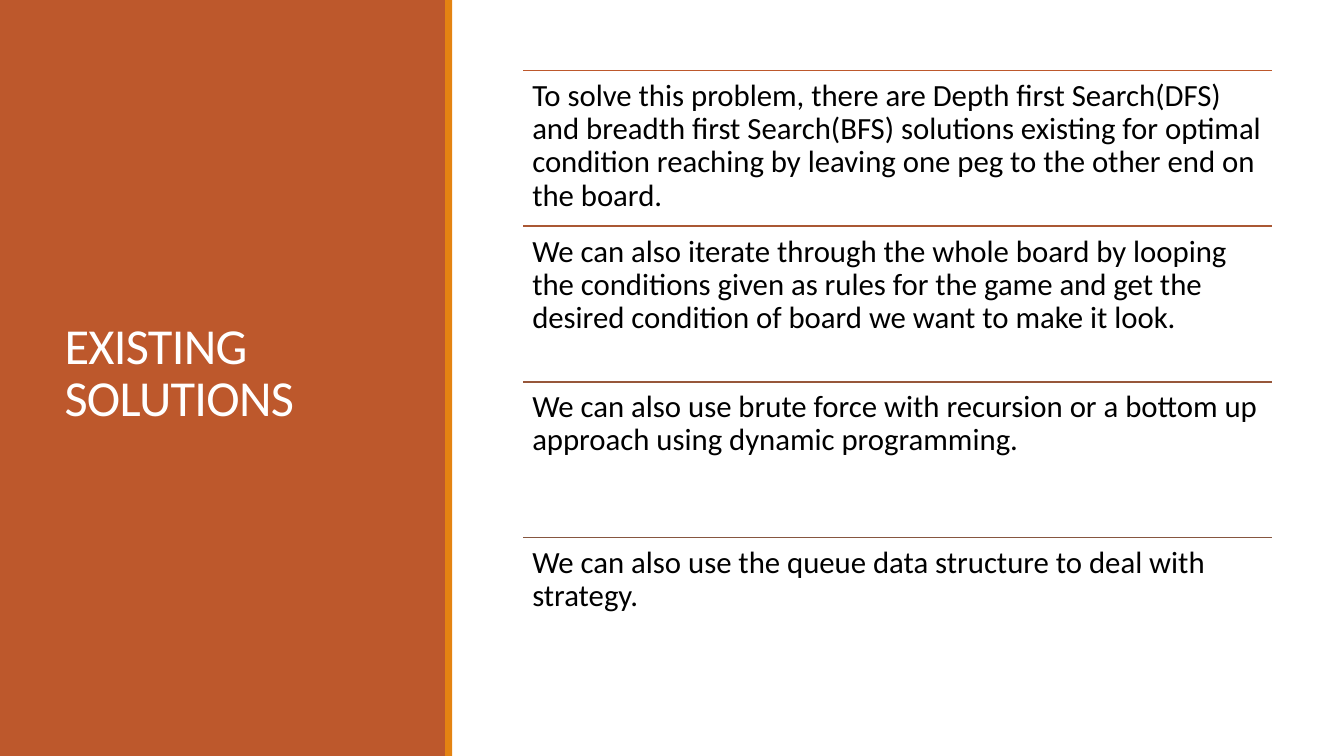
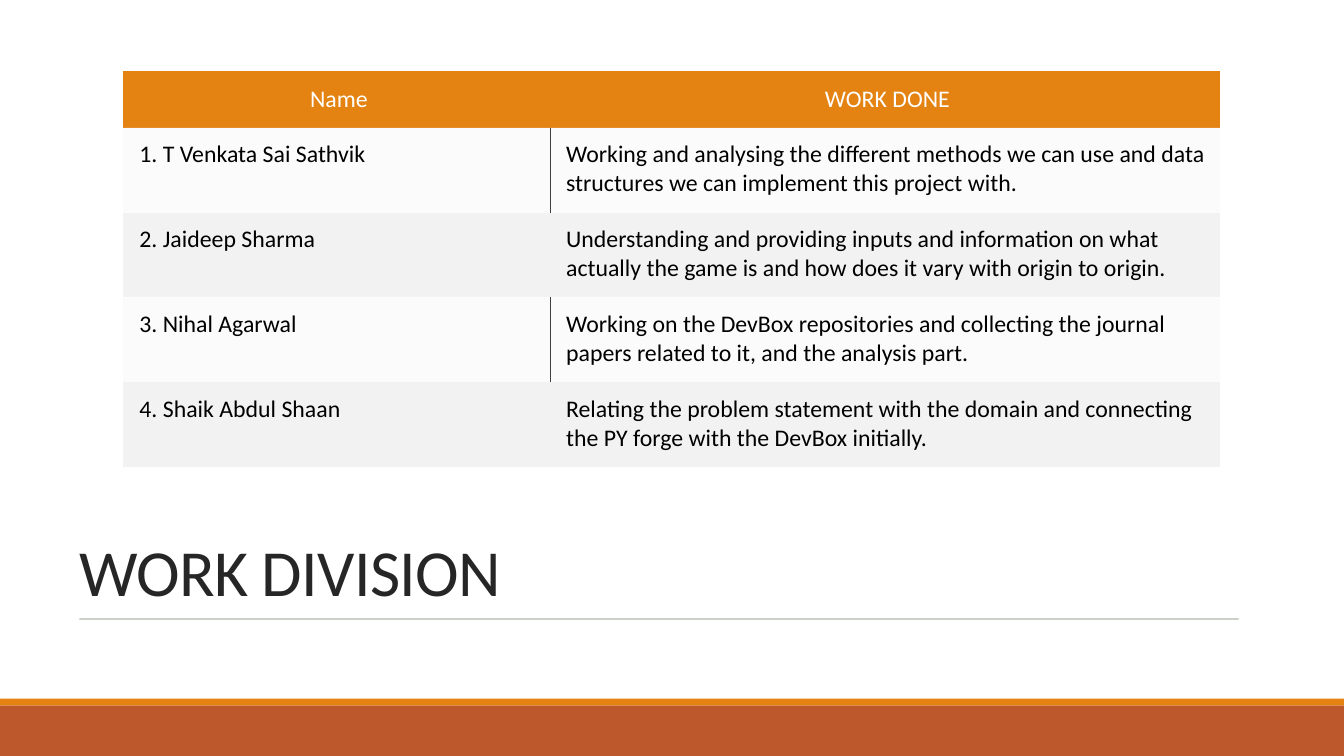
from dataclasses import dataclass

import lxml.etree
import pptx
import pptx.dml.color
import pptx.enum.shapes
import pptx.enum.text
import pptx.oxml.ns
import pptx.util

Pt = pptx.util.Pt
qn = pptx.oxml.ns.qn
Anchor = pptx.enum.text.MSO_ANCHOR
Align = pptx.enum.text.PP_ALIGN


@dataclass(frozen=True)
class Theme:
    font: str = "Calibri"
    rust: str = "BD582C"
    orange: str = "E48312"
    white: str = "FFFFFF"
    black: str = "000000"
    title_dark: str = "262626"
    title_rule: str = "637052"
    row_gray: str = "F2F2F2"
    cell_border: str = "404040"
    side_title_size: float = 36
    title_size: float = 47
    body_size: float = 22
    table_size: float = 17
    title_spacing: float = 0.85
    body_spacing: float = 0.9
    title_tracking: float = -0.5
    no_style_id: str = "{2D5ABB26-0587-4C30-8999-92F81FD0307C}"


THEME = Theme()
SLIDE_WIDTH, SLIDE_HEIGHT = 960, 540


@dataclass(frozen=True)
class Area:
    left: float
    top: float
    width: float
    height: float

    def points(self) -> tuple:
        return Pt(self.left), Pt(self.top), Pt(self.width), Pt(self.height)


@dataclass(frozen=True)
class TextStyle:
    size: float
    color: str
    spacing: float = 1.0
    tracking: float = 0
    anchor: Anchor = Anchor.TOP
    align: Align = Align.LEFT


@dataclass(frozen=True)
class Solution:
    text: str
    rule_color: str


@dataclass(frozen=True)
class Task:
    name: str
    work: str


SOLUTIONS = [
    Solution("To solve this problem, there are Depth first Search(DFS) and breadth first "
             "Search(BFS) solutions existing for optimal condition reaching by leaving one "
             "peg to the other end on the board.", THEME.rust),
    Solution("We can also iterate through the whole board by looping the conditions given as "
             "rules for the game and get the desired condition of board we want to make it "
             "look.", "AA5834"),
    Solution("We can also use brute force with recursion or a bottom up approach using "
             "dynamic programming.", "97573A"),
    Solution("We can also use the queue data structure to deal with strategy.", "865640"),
]

TASKS = [
    Task("1. T Venkata Sai Sathvik",
         "Working and analysing the different methods we can use and data structures we can "
         "implement this project with."),
    Task("2. Jaideep Sharma",
         "Understanding and providing inputs and information on what actually the game is "
         "and how does it vary with origin to origin."),
    Task("3. Nihal Agarwal",
         "Working on the DevBox repositories and collecting the journal papers related to "
         "it, and the analysis part."),
    Task("4. Shaik Abdul Shaan",
         "Relating the problem statement with the domain and connecting the PY forge with "
         "the DevBox initially."),
]


def rgb(color: str) -> pptx.dml.color.RGBColor:
    return pptx.dml.color.RGBColor.from_string(color)


def set_opacity(element, percent: int) -> None:
    for color in element.iter(qn("a:srgbClr")):
        lxml.etree.SubElement(color, qn("a:alpha")).set("val", str(percent * 1000))


def write_text(frame, text: str, style: TextStyle) -> None:
    para = frame.paragraphs[0]
    para.alignment = style.align
    para.line_spacing = style.spacing
    span = para.add_run()
    span.text = text
    span.font.name = THEME.font
    span.font.size = Pt(style.size)
    span.font.color.rgb = rgb(style.color)
    if style.tracking:
        span.font._element.set("spc", str(int(style.tracking * 100)))


def add_text(page, area: Area, text: str, style: TextStyle, inset: float = 7.2) -> None:
    box = page.shapes.add_textbox(*area.points())
    frame = box.text_frame
    frame.word_wrap = True
    frame.vertical_anchor = style.anchor
    frame.margin_left = frame.margin_right = Pt(inset)
    frame.margin_top = frame.margin_bottom = Pt(min(inset, 6.6))
    write_text(frame, text, style)


def add_title(page, area: Area, text: str, size: float, color: str, anchor: Anchor) -> None:
    style = TextStyle(size, color, THEME.title_spacing, THEME.title_tracking, anchor)
    add_text(page, area, text, style)


def add_band(page, area: Area, color: str) -> None:
    band = page.shapes.add_shape(pptx.enum.shapes.MSO_SHAPE.RECTANGLE, *area.points())
    band.shadow.inherit = False
    band.fill.solid()
    band.fill.fore_color.rgb = rgb(color)
    band.line.fill.background()


def add_rule(page, left: float, top: float, width: float, color: str, weight: float,
             opacity: int = 100) -> None:
    rule = page.shapes.add_connector(pptx.enum.shapes.MSO_CONNECTOR.STRAIGHT,
                                     Pt(left), Pt(top), Pt(left + width), Pt(top))
    rule.line.color.rgb = rgb(color)
    rule.line.width = Pt(weight)
    properties = rule._element.spPr
    if opacity < 100:
        set_opacity(properties, opacity)
    lxml.etree.SubElement(properties, qn("a:effectLst"))


def add_cell_border(cell, side: str) -> None:
    border = lxml.etree.Element(qn(f"a:{side}"), w=str(int(Pt(0.5))))
    fill = lxml.etree.SubElement(border, qn("a:solidFill"))
    lxml.etree.SubElement(fill, qn("a:srgbClr"), val=THEME.cell_border)
    cell._tc.get_or_add_tcPr().insert(0, border)


def fill_cell(cell, text: str, style: TextStyle, color: str, opacity: int = 100) -> None:
    cell.margin_left, cell.margin_right = Pt(11.6), Pt(8.2)
    cell.margin_top = cell.margin_bottom = Pt(8.6)
    cell.vertical_anchor = style.anchor
    cell.fill.solid()
    cell.fill.fore_color.rgb = rgb(color)
    if opacity < 100:
        set_opacity(cell._tc.tcPr, opacity)
    write_text(cell.text_frame, text, style)


def add_work_table(page, tasks: list[Task]) -> None:
    widths = (304.8, 478.8)
    header_height, row_height = 40.6, 60.7
    area = Area(88, 50.5, sum(widths), header_height + row_height * len(tasks))
    table = page.shapes.add_table(len(tasks) + 1, len(widths), *area.points()).table
    table.horz_banding = False
    table._tbl.tblPr.find(qn("a:tableStyleId")).text = THEME.no_style_id
    for column, width in zip(table.columns, widths):
        column.width = Pt(width)

    table.rows[0].height = Pt(header_height)
    header = TextStyle(THEME.table_size, THEME.white, anchor=Anchor.MIDDLE, align=Align.CENTER)
    for index, label in enumerate(("Name", "WORK DONE")):
        fill_cell(table.cell(0, index), label, header, THEME.orange)

    body = TextStyle(THEME.table_size, THEME.black)
    for row, task in enumerate(tasks, start=1):
        table.rows[row].height = Pt(row_height)
        pale = row % 2 == 1
        for index, (text, side) in enumerate(((task.name, "lnR"), (task.work, "lnL"))):
            cell = table.cell(row, index)
            fill_cell(cell, text, body, THEME.row_gray, 30 if pale else 100)
            if pale:
                add_cell_border(cell, side)


def add_page(deck):
    page = deck.slides.add_slide(deck.slide_layouts[6])
    page.background.fill.solid()
    page.background.fill.fore_color.rgb = rgb(THEME.white)
    return page


def build_solutions(deck) -> None:
    page = add_page(deck)
    add_band(page, Area(0, 0, 319, SLIDE_HEIGHT), THEME.rust)
    add_band(page, Area(318, 0, 5, SLIDE_HEIGHT), THEME.orange)
    add_title(page, Area(39, 41, 243, 454), "EXISTING SOLUTIONS",
              THEME.side_title_size, THEME.white, Anchor.MIDDLE)

    left, top, width, pitch = 373.6, 50.4, 535, 111.15
    style = TextStyle(THEME.body_size, THEME.black, THEME.body_spacing)
    for index, solution in enumerate(SOLUTIONS):
        row_top = top + index * pitch
        add_rule(page, left, row_top, width, solution.rule_color, 1.25)
        add_text(page, Area(left, row_top, width, pitch), solution.text, style, 6.6)


def build_work_division(deck) -> None:
    page = add_page(deck)
    add_title(page, Area(49.5, 358.5, 859, 83.5), "WORK DIVISION",
              THEME.title_size, THEME.title_dark, Anchor.BOTTOM)
    add_rule(page, 56.7, 442.2, 828, THEME.title_rule, 0.5, 90)
    add_band(page, Area(0, 499, SLIDE_WIDTH, 5), THEME.orange)
    add_band(page, Area(0, 504, SLIDE_WIDTH, 36), THEME.rust)
    add_work_table(page, TASKS)


def main() -> None:
    deck = pptx.Presentation()
    deck.slide_width, deck.slide_height = Pt(SLIDE_WIDTH), Pt(SLIDE_HEIGHT)
    build_solutions(deck)
    build_work_division(deck)
    deck.save("out.pptx")


if __name__ == "__main__":
    main()
